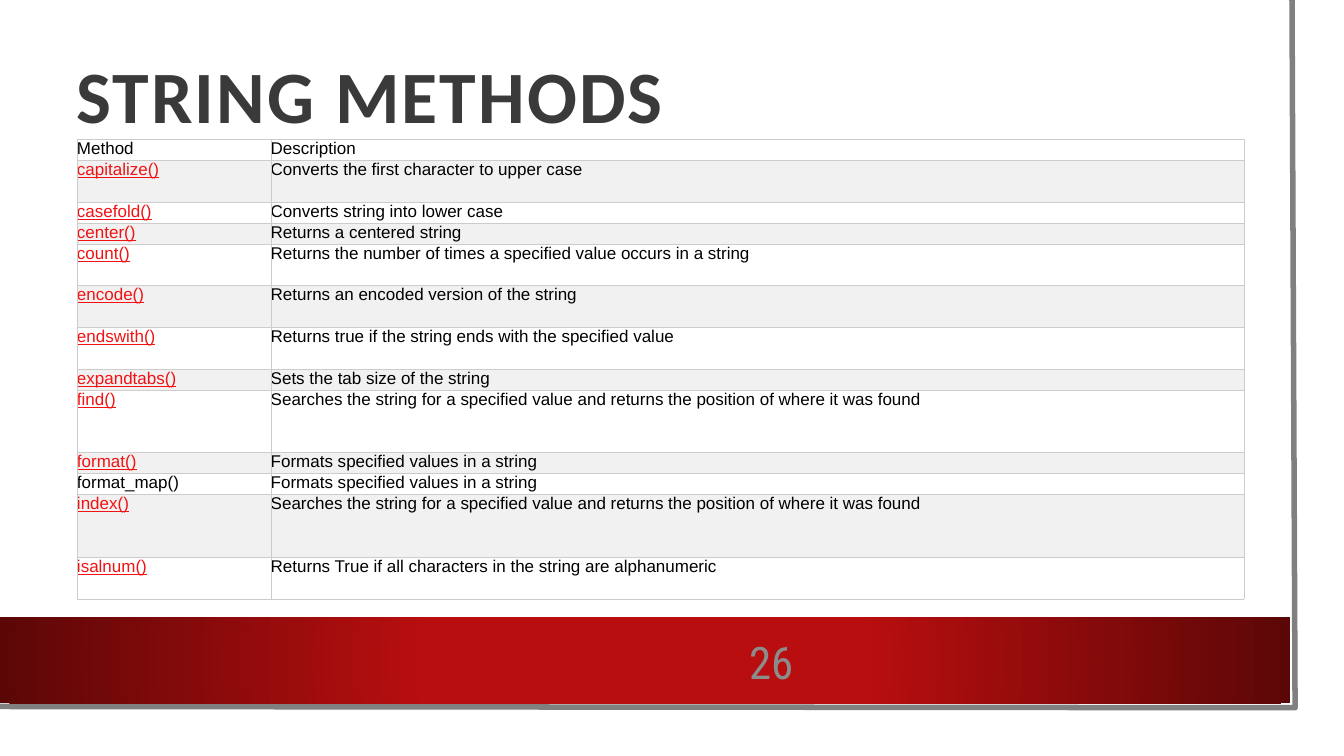
from typing import NamedTuple

from lxml.etree import SubElement
from pptx import Presentation
from pptx.dml.color import RGBColor
from pptx.enum.shapes import MSO_SHAPE
from pptx.enum.text import MSO_ANCHOR, MSO_AUTO_SIZE, PP_ALIGN
from pptx.oxml import parse_xml
from pptx.oxml.ns import nsdecls, qn
from pptx.shapes.autoshape import Shape
from pptx.slide import Slide
from pptx.table import _Cell
from pptx.text.text import TextFrame, _Paragraph
from pptx.util import Inches, Pt

WHITE = RGBColor(0xFF, 0xFF, 0xFF)
BLACK = RGBColor(0x00, 0x00, 0x00)
BAND_GREY = RGBColor(0xF1, 0xF1, 0xF1)
BORDER_GREY = RGBColor(0xCC, 0xCC, 0xCC)
FRAME_GREY = RGBColor(0x80, 0x80, 0x80)
NUMBER_GREY = RGBColor(0x8C, 0x8C, 0x8C)
TITLE_GREY = RGBColor(0x3A, 0x3A, 0x3A)
METHOD_RED = RGBColor(0xF2, 0x12, 0x13)
BAR_RED = RGBColor(0xB8, 0x0E, 0x0F)
BAR_DARK_RED = RGBColor(0x5C, 0x07, 0x07)

COLUMN_WIDTHS = (3.17, 15.92)
TABLE_HEIGHT = 7.52


class MethodRow(NamedTuple):
    method: str
    description: str
    lines: int = 1
    linked: bool = True


METHOD_ROWS = (
    MethodRow("Method", "Description", linked=False),
    MethodRow("capitalize()", "Converts the first character to upper case", 2),
    MethodRow("casefold()", "Converts string into lower case"),
    MethodRow("center()", "Returns a centered string"),
    MethodRow("count()", "Returns the number of times a specified value occurs in a string", 2),
    MethodRow("encode()", "Returns an encoded version of the string", 2),
    MethodRow("endswith()", "Returns true if the string ends with the specified value", 2),
    MethodRow("expandtabs()", "Sets the tab size of the string"),
    MethodRow("find()", "Searches the string for a specified value and returns the position of where it was found", 3),
    MethodRow("format()", "Formats specified values in a string"),
    MethodRow("format_map()", "Formats specified values in a string", linked=False),
    MethodRow("index()", "Searches the string for a specified value and returns the position of where it was found", 3),
    MethodRow("isalnum()", "Returns True if all characters in the string are alphanumeric", 2),
)


def add_span(para: _Paragraph, text: str, font: str, size: float, color: RGBColor,
             bold: bool = False, underline: bool = False):
    span = para.add_run()
    span.text = text
    span.font.name = font
    span.font.size = Pt(size)
    span.font.color.rgb = color
    span.font.bold = bold
    span.font.underline = underline
    return span


def prepare_frame(frame: TextFrame, anchor: MSO_ANCHOR) -> None:
    frame.word_wrap = True
    frame.auto_size = MSO_AUTO_SIZE.NONE
    frame.vertical_anchor = anchor
    frame.margin_left = frame.margin_right = frame.margin_top = frame.margin_bottom = 0


def add_rectangle(page: Slide, left: float, top: float, width: float, height: float) -> Shape:
    box = page.shapes.add_shape(
        MSO_SHAPE.RECTANGLE, Inches(left), Inches(top), Inches(width), Inches(height))
    box.shadow.inherit = False
    box.line.fill.background()
    box.fill.solid()
    box.fill.fore_color.rgb = WHITE
    return box


def fill_radial(box: Shape, inner: RGBColor, outer: RGBColor) -> None:
    gradient = parse_xml(
        f'<a:gradFill {nsdecls("a")} rotWithShape="1"><a:gsLst>'
        f'<a:gs pos="34000"><a:srgbClr val="{inner}"/></a:gs>'
        f'<a:gs pos="100000"><a:srgbClr val="{outer}"/></a:gs></a:gsLst>'
        '<a:path path="circle"><a:fillToRect l="50000" t="50000" r="50000" b="50000"/>'
        '</a:path></a:gradFill>')
    properties = box._element.spPr
    properties.replace(properties.find(qn("a:solidFill")), gradient)


def add_background(page: Slide) -> None:
    add_rectangle(page, 0, 0, 21.6, 11.98)

    builder = page.shapes.build_freeform(Inches(21.14), 0)
    builder.add_line_segments(
        [(Inches(21.19), Inches(11.58)), (Inches(-0.05), Inches(11.56))], close=False)
    frame_line = builder.convert_to_shape()
    frame_line.shadow.inherit = False
    frame_line.fill.background()
    frame_line.line.color.rgb = FRAME_GREY
    frame_line.line.width = Pt(6.5)

    bar = add_rectangle(page, 0, 10.1, 21.11, 1.41)
    fill_radial(bar, BAR_RED, BAR_DARK_RED)


def add_title(page: Slide, text: str) -> None:
    title = page.shapes.title
    title.left, title.top = Inches(1.25), Inches(0.81)
    title.width, title.height = Inches(18.75), Inches(2.93)
    prepare_frame(title.text_frame, MSO_ANCHOR.TOP)
    para = title.text_frame.paragraphs[0]
    para.alignment = PP_ALIGN.LEFT
    span = add_span(para, text, "Calibri", 87, TITLE_GREY, bold=True)
    span.font._element.set("spc", "250")
    # Bring the title in front of the background
    page.shapes._spTree.append(title._element)


def border_cell(cell: _Cell) -> None:
    properties = cell._tc.get_or_add_tcPr()
    for index, side in enumerate(("lnL", "lnR", "lnT", "lnB")):
        line = SubElement(properties, qn(f"a:{side}"), w=str(Pt(0.5)))
        fill = SubElement(line, qn("a:solidFill"))
        SubElement(fill, qn("a:srgbClr"), val=str(BORDER_GREY))
        properties.insert(index, line)


def fill_cell(cell: _Cell, text: str, background: RGBColor, linked: bool) -> None:
    cell.margin_left = cell.margin_right = cell.margin_top = cell.margin_bottom = 0
    cell.fill.solid()
    cell.fill.fore_color.rgb = background
    border_cell(cell)
    color = METHOD_RED if linked else BLACK
    add_span(cell.text_frame.paragraphs[0], text, "Arial", 20, color, underline=linked)


def add_method_table(page: Slide) -> None:
    table = page.shapes.add_table(
        len(METHOD_ROWS), len(COLUMN_WIDTHS), Inches(1.26), Inches(2.28),
        Inches(sum(COLUMN_WIDTHS)), Inches(TABLE_HEIGHT)).table
    table.first_row = table.horz_banding = False
    for column, width in zip(table.columns, COLUMN_WIDTHS):
        column.width = Inches(width)

    line_height = TABLE_HEIGHT / sum(row.lines for row in METHOD_ROWS)
    for index, row in enumerate(METHOD_ROWS):
        table.rows[index].height = Inches(line_height * row.lines)
        background = BAND_GREY if index % 2 else WHITE
        fill_cell(table.cell(index, 0), row.method, background, row.linked)
        fill_cell(table.cell(index, 1), row.description, background, False)


def add_page_number(page: Slide, number: str) -> None:
    box = page.shapes.add_textbox(Inches(11.34), Inches(10.38), Inches(1.64), Inches(0.9))
    prepare_frame(box.text_frame, MSO_ANCHOR.MIDDLE)
    para = box.text_frame.paragraphs[0]
    para.alignment = PP_ALIGN.RIGHT
    add_span(para, number, "Roboto Condensed", 52.8, NUMBER_GREY)


def main() -> None:
    deck = Presentation()
    deck.slide_width, deck.slide_height = Inches(21.99), Inches(12.37)
    page = deck.slides.add_slide(deck.slide_layouts[5])
    add_background(page)
    add_title(page, "STRING METHODS")
    add_method_table(page)
    add_page_number(page, "26")
    deck.save("out.pptx")


if __name__ == "__main__":
    main()
